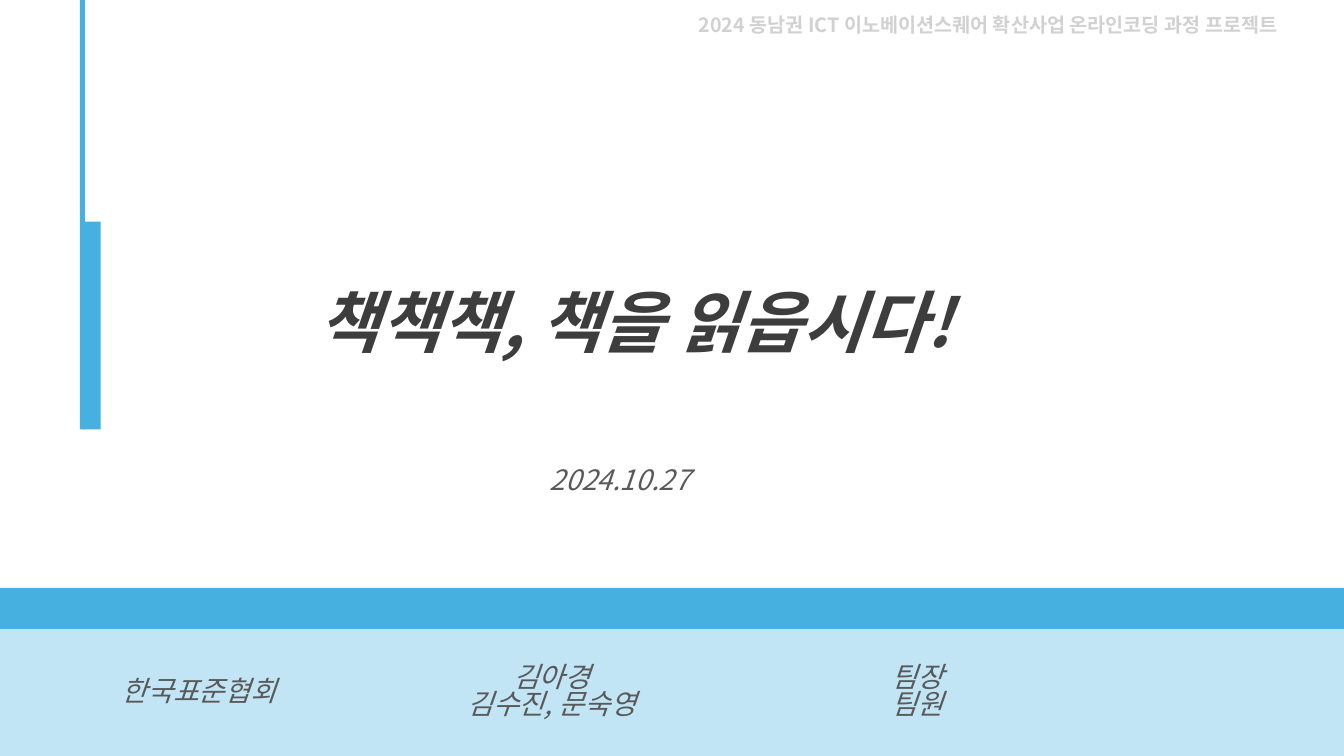
from dataclasses import dataclass

from pptx import Presentation
from pptx.dml.color import RGBColor
from pptx.enum.shapes import MSO_SHAPE
from pptx.enum.text import MSO_ANCHOR, PP_ALIGN
from pptx.util import Emu, Pt

PX = 9525  # EMU in one px, 96 px to the inch


@dataclass(frozen=True)
class Theme:
    font: str = "Noto Sans CJK KR"
    blue: str = "46B1E1"
    pale_blue: str = "C1E5F5"
    title: str = "3D3D3D"
    body: str = "595959"
    muted: str = "D1D1D1"
    title_size: int = 48
    body_size: int = 20
    header_size: int = 14


THEME = Theme()


def px(*lengths):
    return [Emu(n * PX) for n in lengths]


def add_bar(s, box, color):
    sp = s.shapes.add_shape(MSO_SHAPE.RECTANGLE, *px(*box))
    sp.shadow.inherit = False
    sp.fill.solid()
    sp.fill.fore_color.rgb = RGBColor.from_string(color)
    sp.line.fill.background()


def add_text(s, box, lines, size=THEME.body_size, color=THEME.body, bold=False,
             italic=True, align=PP_ALIGN.CENTER, anchor=MSO_ANCHOR.MIDDLE,
             spacing=0.9):
    tf = s.shapes.add_textbox(*px(*box)).text_frame
    tf.word_wrap = True
    tf.vertical_anchor = anchor
    for i, line in enumerate(lines):
        p = tf.add_paragraph() if i else tf.paragraphs[0]
        p.alignment = align
        p.line_spacing = spacing
        r = p.add_run()
        r.text = line
        r.font.name = THEME.font
        r.font.size = Pt(size)
        r.font.bold = bold
        r.font.italic = italic
        r.font.color.rgb = RGBColor.from_string(color)


def main():
    prs = Presentation()
    prs.slide_width, prs.slide_height = px(1280, 720)
    s = prs.slides.add_slide(prs.slide_layouts[6])

    add_bar(s, (0, 599, 1280, 121), THEME.pale_blue)
    add_bar(s, (0, 560, 1280, 39), THEME.blue)
    add_bar(s, (76, 0, 5, 409), THEME.blue)
    add_bar(s, (79, 211, 17, 198), THEME.blue)

    add_text(s, (656, 8, 624, 33),
             ["2024 동남권 ICT 이노베이션스퀘어 확산사업 온라인코딩 과정 프로젝트"],
             THEME.header_size, THEME.muted, bold=True, italic=False,
             align=PP_ALIGN.LEFT, anchor=MSO_ANCHOR.TOP, spacing=1.0)
    add_text(s, (128, 211, 952, 198), ["책책책, 책을 읽읍시다!"],
             THEME.title_size, THEME.title, bold=True)
    add_text(s, (459, 431, 263, 54), ["2024.10.27"])

    add_text(s, (58, 632, 263, 54), ["한국표준협회"])
    for left, lines in ((394, ["김아경", "김수진, 문숙영"]), (742, ["팀장", "팀원"])):
        add_text(s, (left, 622, 263, 76), lines, spacing=0.81)

    prs.save("out.pptx")


if __name__ == "__main__":
    main()
